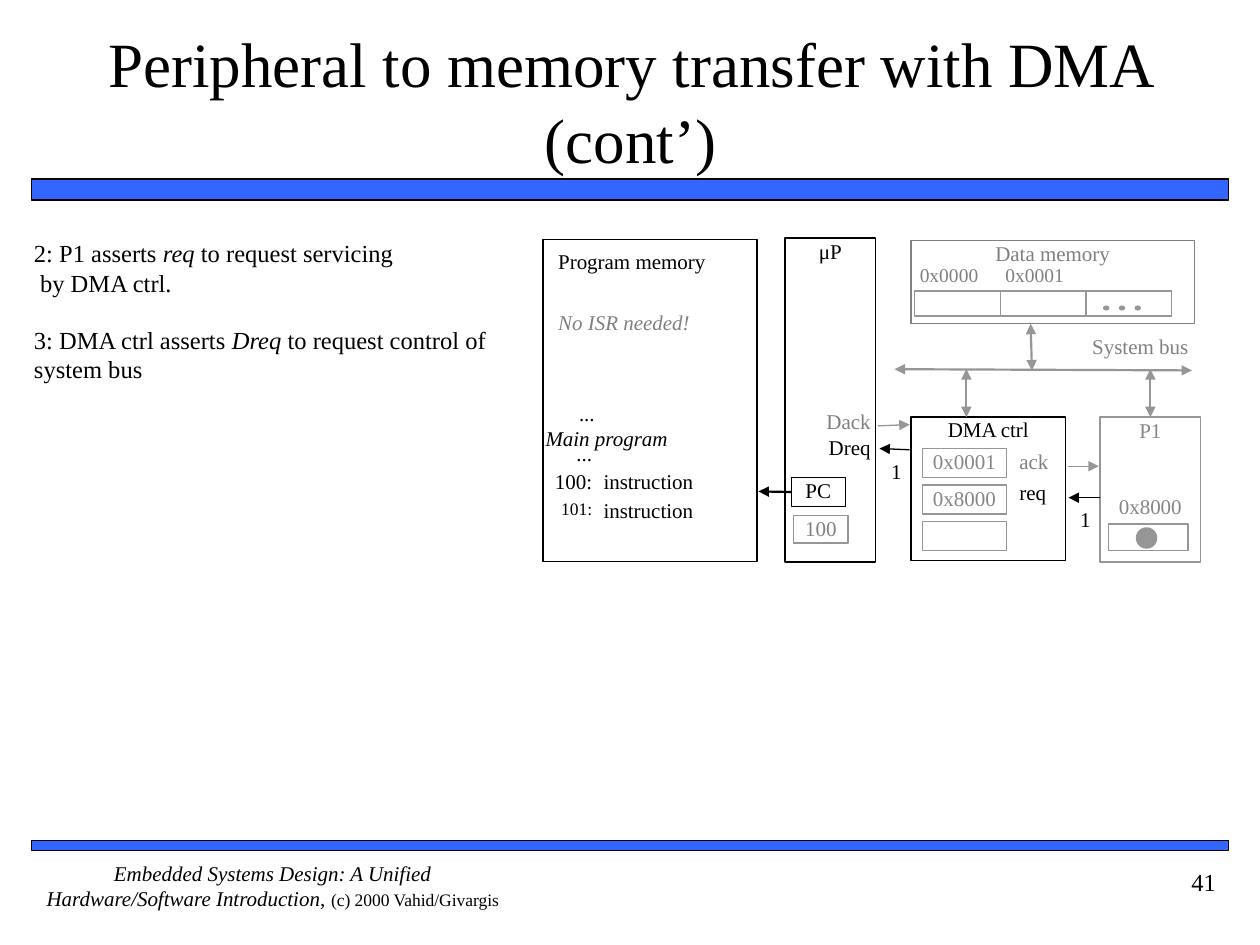
from dataclasses import dataclass

from lxml.etree import SubElement
from pptx import Presentation
from pptx.dml.color import RGBColor
from pptx.enum.shapes import MSO_CONNECTOR as Connector, MSO_SHAPE as Shape
from pptx.enum.text import MSO_ANCHOR as Anchor, PP_ALIGN as Align
from pptx.oxml.ns import qn
from pptx.util import Inches, Pt


@dataclass(frozen=True)
class Theme:
    font: str = "Times New Roman"
    black: str = "000000"
    white: str = "FFFFFF"
    blue: str = "3366FF"
    gray_text: str = "808080"
    value_text: str = "868686"
    gray: str = "969696"
    title: float = 36
    body: float = 14
    label: float = 12
    address: float = 11.1
    small: float = 10
    thin: float = 0.75
    thick: float = 1.25


THEME = Theme()


def add_runs(paragraph, runs, size, color):
    """Add runs, each either a string or (text, italic, size)."""
    for run_data in runs:
        text, italic, run_size = (run_data, False, size) if isinstance(run_data, str) else run_data
        run = paragraph.add_run()
        run.text = text
        run.font.name = THEME.font
        run.font.size = Pt(run_size)
        run.font.italic = italic
        run.font.color.rgb = RGBColor.from_string(color)


def fill_frame(frame, paragraphs, size, color, align, anchor=Anchor.TOP):
    frame.margin_left = frame.margin_right = frame.margin_top = frame.margin_bottom = 0
    frame.word_wrap = True
    frame.vertical_anchor = anchor
    for index, runs in enumerate(paragraphs):
        paragraph = frame.add_paragraph() if index else frame.paragraphs[0]
        paragraph.alignment = align
        add_runs(paragraph, runs, size, color)


def add_text(slide, box, paragraphs, size=THEME.label, color=THEME.black,
             align=Align.LEFT, anchor=Anchor.TOP):
    shape = slide.shapes.add_textbox(*map(Inches, box))
    fill_frame(shape.text_frame, paragraphs, size, color, align, anchor)
    return shape.text_frame


def add_box(slide, box, text=None, color=THEME.black, line=THEME.black,
            fill=None, width=THEME.thin, kind=Shape.RECTANGLE):
    shape = slide.shapes.add_shape(kind, *map(Inches, box))
    shape.shadow.inherit = False
    if fill:
        shape.fill.solid()
        shape.fill.fore_color.rgb = RGBColor.from_string(fill)
    else:
        shape.fill.background()
    shape.line.color.rgb = RGBColor.from_string(line)
    shape.line.width = Pt(width)
    if text:
        fill_frame(shape.text_frame, [[text]], THEME.label, color, Align.CENTER)
    return shape


def add_arrow(slide, start, end, color=THEME.gray, width=THEME.thin, both=False):
    arrow = slide.shapes.add_connector(Connector.STRAIGHT, *map(Inches, (*start, *end)))
    arrow.line.color.rgb = RGBColor.from_string(color)
    arrow.line.width = Pt(width)
    line = arrow.line._get_or_add_ln()
    for tag in ("a:headEnd", "a:tailEnd") if both else ("a:tailEnd",):
        SubElement(line, qn(tag), type="triangle")
    SubElement(arrow._element.spPr, qn("a:effectLst"))
    return arrow


def add_frame(slide):
    """Title, coloured bars, footer and page number."""
    for top, height in ((1.42, 0.17), (6.67, 0.08)):
        add_box(slide, (0.25, top, 9.5, height), fill=THEME.blue, width=1)
    add_text(slide, (0.42, 0.17, 9.17, 1.25), [["Peripheral to memory transfer with DMA (cont’)"]],
             THEME.title, align=Align.CENTER, anchor=Anchor.MIDDLE)
    book = ("Embedded Systems Design: A Unified Hardware/Software Introduction, ", True, THEME.label)
    add_text(slide, (0.25, 6.83, 3.83, 0.5), [[book, "(c) 2000 Vahid/Givargis"]],
             THEME.small, align=Align.CENTER)
    add_text(slide, (8.85, 6.88, 0.8, 0.4), [["41"]], THEME.body, align=Align.RIGHT)


def add_steps(slide):
    frame = add_text(slide, (0.27, 1.89, 3.64, 1.34), [
        ["2: P1 asserts ", ("req", True, THEME.body), " to request servicing"],
        [" by DMA ctrl."],
        ["3: DMA ctrl asserts ", ("Dreq", True, THEME.body), " to request control of system bus"],
    ], THEME.body)
    frame.paragraphs[2].space_before = Pt(16)


def add_program_memory(slide):
    add_box(slide, (4.31, 1.9, 1.7, 2.56), fill=THEME.white)
    add_text(slide, (4.43, 1.97, 1.57, 0.26), [["Program memory"]])
    add_text(slide, (4.43, 2.46, 1.47, 0.22), [[("No ISR needed!", True, THEME.label)]],
             color=THEME.gray_text)
    add_text(slide, (4.33, 3.38, 1.34, 0.25), [[("Main program", True, THEME.label)]])
    for left, top in ((4.43, 3.18), (4.41, 3.5)):
        add_text(slide, (left, top, 0.29, 0.2), [["..."]], align=Align.RIGHT)
    for top, number, size in ((3.72, "100:", THEME.label), (3.95, "101:", THEME.small)):
        add_text(slide, (4.22, top, 0.48, 0.2), [[number]], size, align=Align.RIGHT)
        add_text(slide, (4.79, top, 1, 0.22), [["instruction"]])


def add_processor(slide):
    add_box(slide, (6.23, 1.89, 0.72, 2.57), "μP", fill=THEME.white)
    counter = add_box(slide, (6.28, 3.79, 0.43, 0.23), "PC", fill=THEME.white)
    add_box(slide, (6.3, 4.09, 0.43, 0.22), "100", THEME.gray_text, THEME.gray, THEME.white)
    fetch = add_arrow(slide, (6.28, 3.9), (6.02, 3.9), THEME.black, THEME.thick)
    fetch.begin_connect(counter, 1)
    for top, name, color in ((3.24, "Dack", THEME.gray_text), (3.45, "Dreq", THEME.black)):
        add_text(slide, (6.43, top, 0.48, 0.26), [[name]], color=color, align=Align.RIGHT)


def add_data_memory(slide):
    add_box(slide, (7.23, 1.91, 2.25, 0.66), "Data memory", THEME.gray_text, THEME.gray_text)
    cell_width = 0.68
    for column in range(3):
        add_box(slide, (7.26 + column * cell_width, 2.31, cell_width, 0.2), line=THEME.gray)
        add_box(slide, (8.76 + column * 0.125, 2.43, 0.04, 0.03), line=THEME.gray,
                fill=THEME.gray, kind=Shape.OVAL)
    for column, address in enumerate(("0x0000", "0x0001")):
        add_text(slide, (7.3 + column * cell_width, 2.09, 0.67, 0.2), [[address]],
                 THEME.address, THEME.gray_text)


def add_dma_controller(slide):
    add_box(slide, (7.23, 3.31, 1.23, 1.14), "DMA ctrl", fill=THEME.white)
    for row, value in enumerate(("0x0001", "0x8000", None)):
        add_box(slide, (7.32, 3.56 + row * 0.29, 0.67, 0.23), value, THEME.value_text, THEME.gray)
    for top, name, color in ((3.56, "ack", THEME.gray_text), (3.81, "req", THEME.black)):
        add_text(slide, (8.09, top, 0.35, 0.27), [[name]], color=color)


def add_peripheral(slide):
    peripheral = add_box(slide, (8.73, 3.31, 0.8, 1.15), "P1", THEME.value_text, THEME.gray)
    add_text(slide, (8.81, 3.92, 0.64, 0.22), [["0x8000"]], color=THEME.value_text,
             align=Align.CENTER)
    add_box(slide, (8.8, 4.16, 0.63, 0.21), line=THEME.gray, fill=THEME.white)
    add_box(slide, (9.02, 4.19, 0.16, 0.16), line=THEME.gray, fill=THEME.gray, kind=Shape.OVAL)
    return peripheral


def add_bus(slide, peripheral):
    bus = 2.93
    add_text(slide, (8.54, 2.65, 1.02, 0.32), [["System bus"]], color=THEME.gray_text,
             align=Align.CENTER)
    links = [add_arrow(slide, start, end, width=THEME.thick, both=True) for start, end in (
        ((7.1, bus), (9.46, bus + 0.01)),
        ((8.18, 2.57), (8.19, bus + 0.01)),
        ((7.67, bus), (7.67, 3.31)),
        ((9.13, bus), (9.13, 3.31)),
    )]
    links[-1].end_connect(peripheral, 0)


def add_signals(slide):
    """Acknowledge arrows, and the request arrows with their value 1."""
    add_arrow(slide, (6.97, 3.38), (7.22, 3.37))
    add_arrow(slide, (8.48, 3.7), (8.72, 3.7))
    for start, end, label in (((7.22, 3.57), (6.98, 3.56), (7, 3.64)),
                              ((8.73, 3.95), (8.48, 3.95), (8.5, 4.02))):
        add_arrow(slide, start, end, THEME.black)
        add_text(slide, (*label, 0.23, 0.2), [["1"]], align=Align.CENTER)


def main():
    presentation = Presentation()
    presentation.slide_width, presentation.slide_height = Inches(10), Inches(7.5)
    slide = presentation.slides.add_slide(presentation.slide_layouts[6])
    add_frame(slide)
    add_steps(slide)
    add_program_memory(slide)
    add_processor(slide)
    add_data_memory(slide)
    add_dma_controller(slide)
    add_bus(slide, add_peripheral(slide))
    add_signals(slide)
    presentation.save("out.pptx")


if __name__ == "__main__":
    main()
